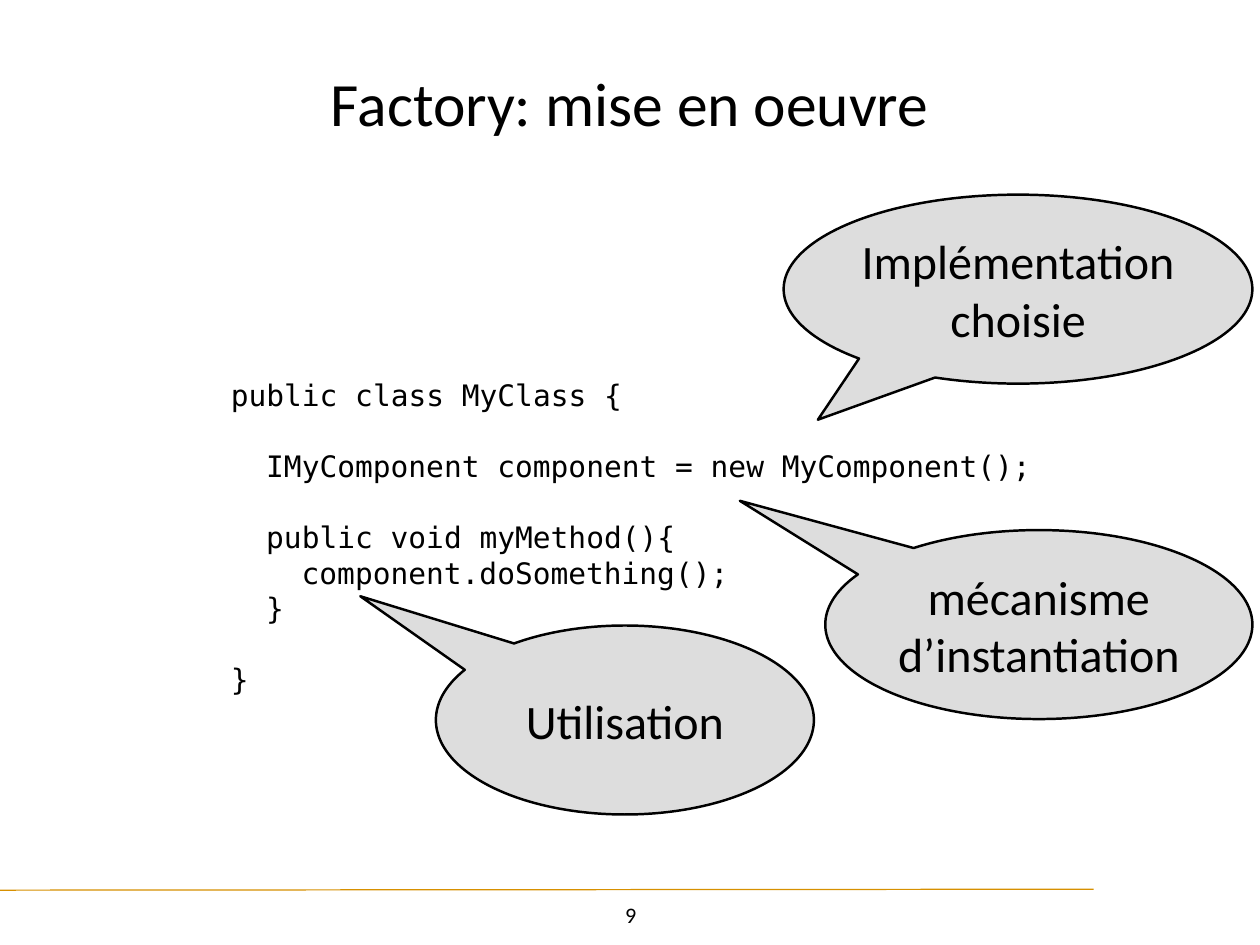
from lxml import etree
from pptx import Presentation
from pptx.dml.color import RGBColor
from pptx.enum.shapes import MSO_CONNECTOR, MSO_SHAPE
from pptx.enum.text import MSO_ANCHOR, PP_ALIGN
from pptx.oxml.ns import qn
from pptx.util import Inches, Pt

BLACK = RGBColor(0x00, 0x00, 0x00)
GREY = RGBColor(0xDD, 0xDD, 0xDD)
GOLD = RGBColor(0xD7, 0x90, 0x00)
CENTER, LEFT = PP_ALIGN.CENTER, PP_ALIGN.LEFT
MIDDLE, TOP = MSO_ANCHOR.MIDDLE, MSO_ANCHOR.TOP
STRAIGHT = MSO_CONNECTOR.STRAIGHT
CALLOUT = MSO_SHAPE.OVAL_CALLOUT
BODY_FONT, CODE_FONT = "Calibri", "DejaVu Sans Mono"
INSET = Inches(0.06)

prs = Presentation()
prs.slide_width, prs.slide_height = Inches(14.22), Inches(10.67)
COL, ROW = prs.slide_width / 100, prs.slide_height / 100  # one percent each
slide = prs.slides.add_slide(prs.slide_layouts[5])


def cells(left, top, width, height):
    """Turn percentages of the slide into a box in EMU."""
    return int(left * COL), int(top * ROW), int(width * COL), int(height * ROW)


def write(sp, lines, size, font=BODY_FONT, align=CENTER, anchor=MIDDLE, wrap=True):
    """Fill a shape with one formatted paragraph per line."""
    tf = sp.text_frame
    frame = dict(word_wrap=wrap, vertical_anchor=anchor, margin_left=INSET,
                 margin_right=INSET, margin_top=INSET, margin_bottom=INSET)
    for name, value in frame.items():
        setattr(tf, name, value)
    tf.text = "\n".join(lines)
    for p in tf.paragraphs:
        p.alignment = align
        for r in p.runs:
            for name, value in dict(name=font, size=Pt(size)).items():
                setattr(r.font, name, value)
            r.font.color.rgb = BLACK
    return tf


# Footer rule and slide number
rule = slide.shapes.add_connector(STRAIGHT, *cells(0, 94.2, 86.8, 94.1))
rule.line.color.rgb = GOLD
rule.line.width = Pt(1)
etree.SubElement(rule._element.spPr, qn("a:effectLst"))
number = slide.shapes.add_textbox(*cells(48.7, 94.8, 2.7, 3.8))
write(number, ["9"], 18, anchor=TOP, wrap=False)

# Title
title = slide.shapes.title
title.left, title.top, title.width, title.height = cells(9.8, 2.6, 80.4, 16.3)
write(title, ["Factory: mise en oeuvre"], 50)

# Code: text, indent level, blank lines before it
code = [
    ("public class MyClass {", 0, 0),
    ("IMyComponent component = new MyComponent();", 1, 1),
    ("public void myMethod(){", 1, 1),
    ("component.doSomething();", 2, 0),
    ("}", 1, 0),
    ("}", 0, 1),
]
CODE_SIZE = 24
LINE = 1.2 * CODE_SIZE
INDENT = Pt(2 * 0.6 * CODE_SIZE)  # two monospaced characters
listing = slide.shapes.add_textbox(*cells(17.9, 37.5, 65.6, 38.6))
tf = write(listing, [text for text, _, _ in code], CODE_SIZE, CODE_FONT, LEFT)
for p, (_, level, gap) in zip(tf.paragraphs, code):
    p.line_spacing = Pt(LINE)
    p.space_before = Pt(gap * LINE)
    p._p.get_or_add_pPr().set("marL", str(level * INDENT))

# Callouts: text, left, top, width, pointer tip
UPPER_LEFT = (-0.7, -0.655)
callouts = [
    ("Implémentation choisie", 62.2, 20.6, 37.2, (-0.427, 0.691)),
    ("mécanisme d’instantiation", 65.5, 56.1, 33.9, UPPER_LEFT),
    ("Utilisation", 34.6, 66.2, 30, UPPER_LEFT),
]
for text, left, top, width, tip in callouts:
    sp = slide.shapes.add_shape(CALLOUT, *cells(left, top, width, 20))
    sp.adjustments[0], sp.adjustments[1] = tip
    sp.shadow.inherit = False
    sp.fill.solid()
    sp.fill.fore_color.rgb = GREY
    sp.line.color.rgb = BLACK
    sp.line.width = Pt(2)
    write(sp, [text], 39)

prs.save("out.pptx")
